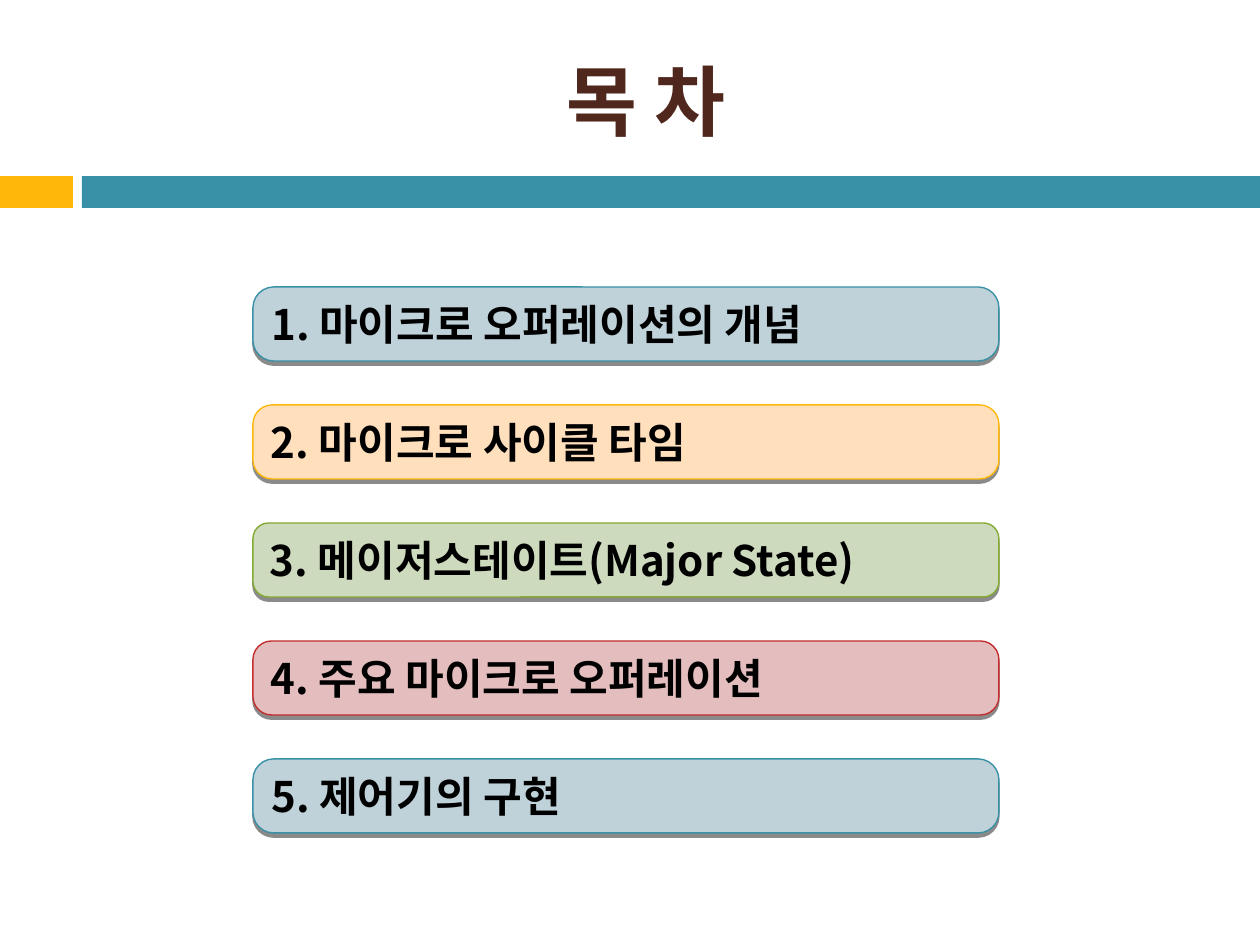
from dataclasses import dataclass

from lxml import etree
from pptx import Presentation
from pptx.dml.color import RGBColor
from pptx.enum.shapes import MSO_SHAPE
from pptx.enum.text import MSO_ANCHOR, PP_ALIGN
from pptx.oxml.ns import qn
from pptx.util import Emu, Pt

RECT = MSO_SHAPE.RECTANGLE
ROUNDED = MSO_SHAPE.ROUNDED_RECTANGLE
MIDDLE = MSO_ANCHOR.MIDDLE
LEFT, CENTER = PP_ALIGN.LEFT, PP_ALIGN.CENTER


@dataclass(frozen=True)
class Theme:
    font: str = "Noto Sans CJK KR"
    heading: str = "4F271C"
    text: str = "000000"
    shadow: str = "000000"
    teal: str = "3891A7"
    teal_tint: str = "BFD2D9"
    amber: str = "FEB80A"
    amber_tint: str = "FFDFBC"
    green: str = "84AA33"
    green_tint: str = "CEDABE"
    red: str = "C32D2E"
    red_tint: str = "E4BEBE"
    heading_size: int = 44
    topic_size: int = 24
    border: float = 0.79
    shadow_distance: float = 2.4
    shadow_opacity: int = 45


THEME = Theme()
HEADING = "목 차"
TOPICS = [
    ("마이크로 오퍼레이션의 개념", THEME.teal_tint, THEME.teal, 0.28),
    ("마이크로 사이클 타임", THEME.amber_tint, THEME.amber, 0.26),
    ("메이저스테이트(Major State)", THEME.green_tint, THEME.green, 0.21),
    ("주요 마이크로 오퍼레이션", THEME.red_tint, THEME.red, 0.25),
    ("제어기의 구현", THEME.teal_tint, THEME.teal, 0.28),
]

SLIDE_W, SLIDE_H = 1260, 945
BAND_TOP, BAND_H = 176, 32
ACCENT_W, BAND_LEFT = 73, 82
HEADING_BOX = (84, 32, 1124, 136)
TOPIC_LEFT, TOPIC_TOP, TOPIC_W, TOPIC_H, TOPIC_PITCH = 253, 287, 746, 74, 118


def px(length):
    return Emu(round(length * 914400 / 126))


def add_block(slide, preset, box, fill):
    block = slide.shapes.add_shape(preset, *map(px, box))
    block.fill.solid()
    block.fill.fore_color.rgb = RGBColor.from_string(fill)
    block.line.fill.background()
    block.shadow.inherit = False
    return block


def write(shape, text, size, color, alignment):
    frame = shape.text_frame
    frame.word_wrap = True
    frame.vertical_anchor = MIDDLE
    frame.text = text
    paragraph = frame.paragraphs[0]
    paragraph.alignment = alignment
    for run in paragraph.runs:
        run.font.size = Pt(size)
        run.font.bold = True
        run.font.color.rgb = RGBColor.from_string(color)
        run.font.name = THEME.font
        etree.SubElement(run.font._element, qn("a:ea"), typeface=THEME.font)


def drop_shadow(shape):
    effects = shape._element.spPr.find(qn("a:effectLst"))
    shadow = etree.SubElement(
        effects, qn("a:outerShdw"), blurRad="0",
        dist=str(Pt(THEME.shadow_distance)), dir="5400000",
        algn="ctr", rotWithShape="0",
    )
    color = etree.SubElement(shadow, qn("a:srgbClr"), val=THEME.shadow)
    etree.SubElement(color, qn("a:alpha"), val=str(THEME.shadow_opacity * 1000))


def add_topic(slide, index, title, fill, border, rounding):
    top = TOPIC_TOP + index * TOPIC_PITCH
    topic = add_block(slide, ROUNDED, (TOPIC_LEFT, top, TOPIC_W, TOPIC_H), fill)
    topic.adjustments[0] = rounding
    topic.line.color.rgb = RGBColor.from_string(border)
    topic.line.width = Pt(THEME.border)
    drop_shadow(topic)
    write(topic, f"{index + 1}. {title}", THEME.topic_size, THEME.text, LEFT)


def main():
    deck = Presentation()
    deck.slide_width, deck.slide_height = px(SLIDE_W), px(SLIDE_H)
    slide = deck.slides.add_slide(deck.slide_layouts[6])

    add_block(slide, RECT, (0, BAND_TOP, ACCENT_W, BAND_H), THEME.amber)
    add_block(slide, RECT, (BAND_LEFT, BAND_TOP, SLIDE_W - BAND_LEFT, BAND_H), THEME.teal)

    heading = slide.shapes.add_textbox(*map(px, HEADING_BOX))
    write(heading, HEADING, THEME.heading_size, THEME.heading, CENTER)

    for index, topic in enumerate(TOPICS):
        add_topic(slide, index, *topic)

    deck.save("out.pptx")


if __name__ == "__main__":
    main()
